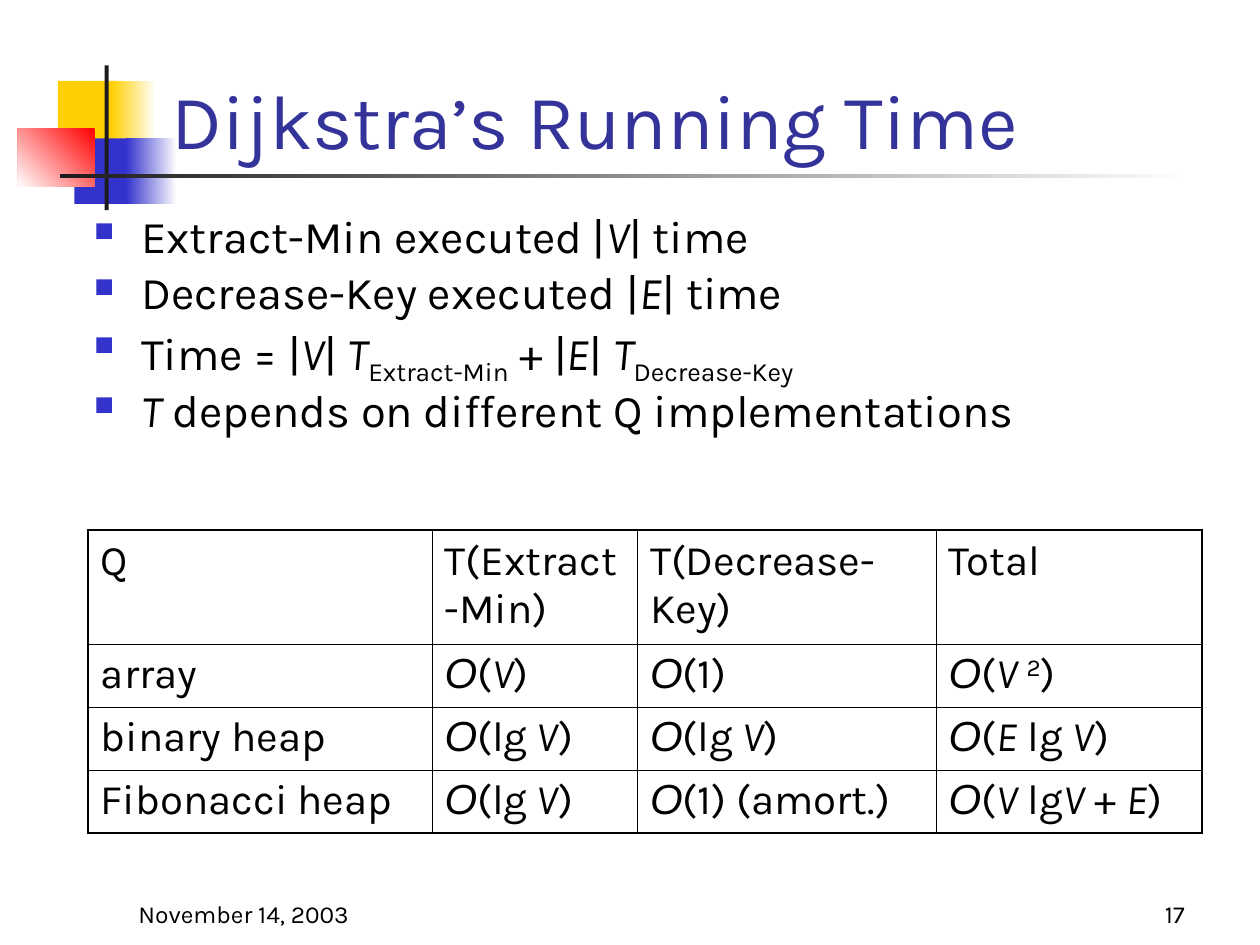
"""Build the slide on the running time of Dijkstra's algorithm."""
from dataclasses import dataclass
from typing import Optional

from lxml.etree import SubElement
from pptx import Presentation
from pptx.dml.color import RGBColor
from pptx.enum.shapes import MSO_SHAPE
from pptx.enum.text import MSO_ANCHOR, MSO_AUTO_SIZE, PP_ALIGN
from pptx.oxml.ns import qn
from pptx.util import Cm, Pt

COLORS = {
    "yellow": "FFCF01", "blue": "3333CC", "red": "FF0000", "white": "FFFFFF",
    "charcoal": "1C1C1C", "title": "333399", "text": "000000",
}
FONT = "Karla"


@dataclass(frozen=True)
class Span:
    text: str
    italic: bool = False
    baseline: int = 0
    font: str = FONT


@dataclass(frozen=True)
class Block:
    left: float
    top: float
    width: float
    height: float
    color: str
    fade_from: Optional[str] = None
    angle: int = 180


V, E, T = (Span(letter, italic=True) for letter in "VET")
BIG_O = Span("Ο", italic=True, font="Arial")
LOG_V = [BIG_O, Span("(lg"), Span(" V", italic=True), Span(")")]

MOTIF = [
    Block(1.17, 1.63, 1.22, 1.32, "yellow"),
    Block(2.24, 1.63, 0.91, 1.32, "yellow", "white"),
    Block(1.5, 2.79, 1.17, 1.32, "blue"),
    Block(2.54, 2.79, 1.02, 1.32, "blue", "white"),
    Block(0.36, 2.59, 1.55, 1.17, "white", "red", 225),
    Block(2.11, 1.32, 0.08, 2.92, "charcoal"),
    Block(1.22, 3.51, 22.86, 0.08, "charcoal", "white"),
]
POINTS = [
    [Span("Extract-Min executed |"), V, Span("| time")],
    [Span("Decrease-Key executed |"), E, Span("| time")],
    [Span("Time = |"), V, Span("| "), T, Span("Extract-Min", baseline=-25),
     Span(" + |"), E, Span("| "), T, Span("Decrease-Key", baseline=-25)],
    [T, Span(" depends on different Q implementations")],
]
COSTS = [
    [[Span(head)] for head in ("Q", "T(Extract-Min)", "T(Decrease-Key)", "Total")],
    [[Span("array")], [BIG_O, Span("("), V, Span(")")], [BIG_O, Span("(1)")],
     [BIG_O, Span("("), Span("V ", italic=True), Span("2", baseline=30), Span(")")]],
    [[Span("binary heap")], LOG_V, LOG_V,
     [BIG_O, Span("("), E, Span(" lg "), V, Span(")")]],
    [[Span("Fibonacci heap")], LOG_V, [BIG_O, Span("(1) (amort.)")],
     [BIG_O, Span("("), V, Span(" lg"), V, Span(" + "), E, Span(")")]],
]
COLUMN_WIDTHS = [6.93, 4.14, 6.02, 5.36]
ROW_HEIGHTS = [2.29, 1.27, 1.27, 1.27]


def rgb(name: str) -> RGBColor:
    """Look up a named colour."""
    return RGBColor.from_string(COLORS[name])


def write(paragraph, spans: list[Span], size: float, color: str = "text") -> None:
    """Add formatted runs to a paragraph."""
    for span in spans:
        run = paragraph.add_run()
        run.text = span.text
        run.font.name = span.font
        run.font.size = Pt(size)
        run.font.italic = span.italic
        run.font.color.rgb = rgb(color)
        if span.baseline:
            run.font._element.set("baseline", str(span.baseline * 1000))


def draw_block(slide, block: Block) -> None:
    """Draw one solid or fading rectangle of the motif."""
    shape = slide.shapes.add_shape(
        MSO_SHAPE.RECTANGLE, Cm(block.left), Cm(block.top), Cm(block.width), Cm(block.height))
    shape.shadow.inherit = False
    shape.line.fill.background()
    if block.fade_from is None:
        shape.fill.solid()
        shape.fill.fore_color.rgb = rgb(block.color)
        return
    shape.fill.gradient()
    shape.fill.gradient_angle = block.angle
    for stop, name in zip(shape.fill.gradient_stops, (block.fade_from, block.color)):
        stop.color.rgb = rgb(name)


def draw_title(slide, text: str) -> None:
    """Place the title above the motif."""
    title = slide.shapes.title
    title.left, title.top, title.width, title.height = Cm(3.2), Cm(0.28), Cm(21.64), Cm(3.18)
    frame = title.text_frame
    frame.auto_size = MSO_AUTO_SIZE.NONE
    frame.vertical_anchor = MSO_ANCHOR.BOTTOM
    frame.paragraphs[0].alignment = PP_ALIGN.LEFT
    write(frame.paragraphs[0], [Span(text)], 44, "title")
    slide.shapes._spTree.append(title._element)


def add_bullet(paragraph) -> None:
    """Give a paragraph a hanging square bullet."""
    properties = paragraph._p.get_or_add_pPr()
    properties.set("marL", str(Cm(0.95)))
    properties.set("indent", str(-Cm(0.95)))
    bullet_color = SubElement(properties, qn("a:buClr"))
    SubElement(bullet_color, qn("a:srgbClr"), val=COLORS["blue"])
    SubElement(properties, qn("a:buSzPct"), val="60000")
    SubElement(properties, qn("a:buChar"), char="■")


def draw_points(slide) -> None:
    """Draw the bulleted list."""
    frame = slide.shapes.add_textbox(Cm(1.65), Cm(4.29), Cm(23.22), Cm(4.85)).text_frame
    frame.word_wrap = True
    for index, spans in enumerate(POINTS):
        paragraph = frame.add_paragraph() if index else frame.paragraphs[0]
        add_bullet(paragraph)
        paragraph.line_spacing = 0.8
        paragraph.space_before = Pt(7 if index else 0)
        write(paragraph, spans, 25.9)


def set_borders(cell, outer_sides: dict[str, bool]) -> None:
    """Draw cell borders, heavier on the outside of the table."""
    properties = cell._tc.get_or_add_tcPr()
    for index, (side, outer) in enumerate(outer_sides.items()):
        line = SubElement(properties, qn(f"a:ln{side}"), w=str(Pt(1.08 if outer else 0.45)))
        fill = SubElement(line, qn("a:solidFill"))
        SubElement(fill, qn("a:srgbClr"), val=COLORS["text"])
        properties.insert(index, line)


def draw_costs(slide) -> None:
    """Draw the table of costs for each queue."""
    last_row, last_column = len(ROW_HEIGHTS) - 1, len(COLUMN_WIDTHS) - 1
    costs = slide.shapes.add_table(
        len(ROW_HEIGHTS), len(COLUMN_WIDTHS), Cm(1.78), Cm(10.69),
        Cm(sum(COLUMN_WIDTHS)), Cm(sum(ROW_HEIGHTS))).table
    costs.first_row = costs.horz_banding = False
    for column, width in zip(costs.columns, COLUMN_WIDTHS):
        column.width = Cm(width)
    for r, (row, height) in enumerate(zip(costs.rows, ROW_HEIGHTS)):
        row.height = Cm(height)
        for c, cell in enumerate(row.cells):
            cell.fill.background()
            set_borders(cell, {"L": c == 0, "R": c == last_column,
                               "T": r == 0, "B": r == last_row})
            write(cell.text_frame.paragraphs[0], COSTS[r][c], 24)


def draw_footer(slide, left: float, text: str, alignment: PP_ALIGN) -> None:
    """Draw one footer entry."""
    frame = slide.shapes.add_textbox(Cm(left), Cm(17.58), Cm(5.28), Cm(1.27)).text_frame
    frame.word_wrap = True
    frame.vertical_anchor = MSO_ANCHOR.BOTTOM
    frame.paragraphs[0].alignment = alignment
    write(frame.paragraphs[0], [Span(text)], 14)


def main() -> None:
    """Assemble and save the presentation."""
    deck = Presentation()
    deck.slide_width, deck.slide_height = Cm(25.4), Cm(19.05)
    slide = deck.slides.add_slide(deck.slide_layouts[5])
    for block in MOTIF:
        draw_block(slide, block)
    draw_title(slide, "Dijkstra’s Running Time")
    draw_points(slide)
    draw_costs(slide)
    draw_footer(slide, 18.85, "17", PP_ALIGN.RIGHT)
    draw_footer(slide, 2.54, "November 14, 2003", PP_ALIGN.LEFT)
    deck.save("out.pptx")


if __name__ == "__main__":
    main()
